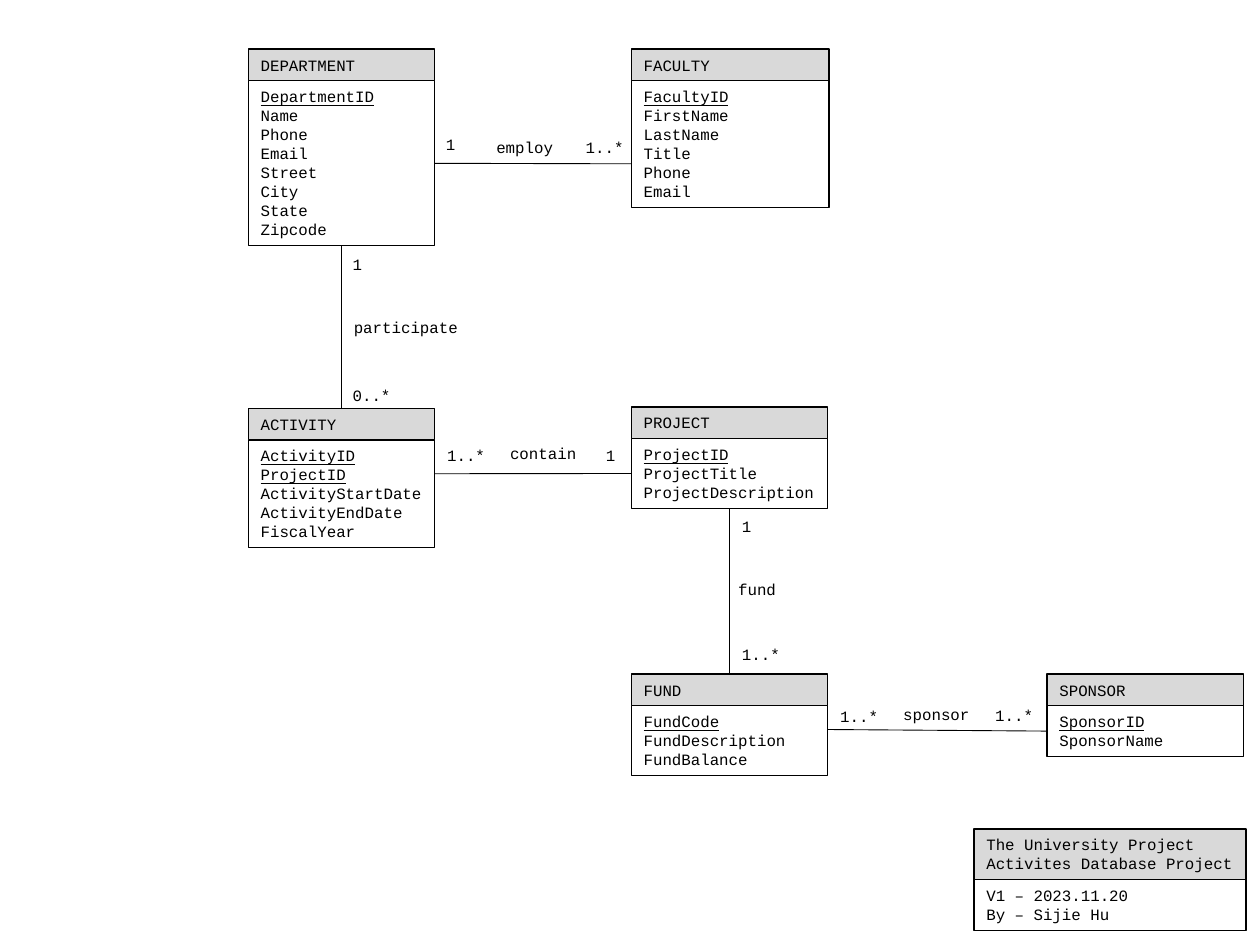
"""Build a one-slide entity-relationship diagram of a university project database."""
import dataclasses

import pptx
import pptx.dml.color
import pptx.enum.shapes
import pptx.enum.text
import pptx.util
from lxml import etree
from pptx.util import Inches


@dataclasses.dataclass(frozen=True)
class Theme:
    ink: pptx.dml.color.RGBColor = pptx.dml.color.RGBColor(0, 0, 0)
    header: pptx.dml.color.RGBColor = pptx.dml.color.RGBColor(0xD9, 0xD9, 0xD9)
    font: str = "Courier New"
    size: float = 9
    leading: float = 1.21
    border: float = 0.75
    link: float = 0.5


theme = Theme()
line_height = theme.size * theme.leading / 72


def write(box, lines, keys=0):
    frame = box.text_frame
    frame.word_wrap = True
    frame.vertical_anchor = pptx.enum.text.MSO_ANCHOR.TOP
    frame.text = "\n".join(lines)
    for index, para in enumerate(frame.paragraphs):
        para.alignment = pptx.enum.text.PP_ALIGN.LEFT
        para.font.name = theme.font
        para.font.size = pptx.util.Pt(theme.size)
        para.font.color.rgb = theme.ink
        para.font.underline = index < keys


def add_panel(group, left, top, width, rows, lines, keys=0):
    box = group.shapes.add_shape(
        pptx.enum.shapes.MSO_SHAPE.RECTANGLE,
        Inches(left), Inches(top), Inches(width), Inches(0.1 + rows * line_height))
    box.shadow.inherit = False
    box.fill.background()
    box.line.color.rgb = theme.ink
    box.line.width = pptx.util.Pt(theme.border)
    write(box, lines, keys)
    return box


deck = pptx.Presentation()
deck.slide_width, deck.slide_height = Inches(10), Inches(7.5)
page = deck.slides.add_slide(deck.slide_layouts[6])

entities = [
    ("DEPARTMENT", 1.97, 0.39, 1.48, 1, 1,
     ["DepartmentID", "Name", "Phone", "Email", "Street", "City", "State", "Zipcode"]),
    ("FACULTY", 5.01, 0.39, 1.57, 1, 1,
     ["FacultyID", "FirstName", "LastName", "Title", "Phone", "Email"]),
    ("ACTIVITY", 1.97, 3.24, 1.48, 1, 2,
     ["ActivityID", "ProjectID", "ActivityStartDate", "ActivityEndDate", "FiscalYear"]),
    ("PROJECT", 5.01, 3.23, 1.56, 1, 1,
     ["ProjectID", "ProjectTitle", "ProjectDescription"]),
    ("FUND", 5.01, 5.35, 1.56, 1, 1,
     ["FundCode", "FundDescription", "FundBalance"]),
    ("SPONSOR", 8.31, 5.35, 1.56, 1, 1, ["SponsorID", "SponsorName"]),
    ("The University Project Activites Database Project", 7.73, 6.58, 2.16, 2, 0,
     ["V1 – 2023.11.20", "By – Sijie Hu"]),
]
headers, bodies = {}, {}
for name, left, top, width, header_rows, keys, fields in entities:
    group = page.shapes.add_group_shape()
    body_top = top + 0.1 + header_rows * line_height
    bodies[name] = add_panel(group, left, body_top, width, len(fields), fields, keys)
    headers[name] = add_panel(group, left, top, width, header_rows, [name])
    headers[name].fill.solid()
    headers[name].fill.fore_color.rgb = theme.header

links = [
    ((3.45, 1.3), (5.01, 1.3), (bodies["DEPARTMENT"], 3), None),
    ((2.71, 1.95), (2.71, 3.24), (bodies["DEPARTMENT"], 2), (headers["ACTIVITY"], 0)),
    ((5.01, 3.76), (3.45, 3.76), (bodies["PROJECT"], 1), None),
    ((5.79, 4.04), (5.79, 5.35), (bodies["PROJECT"], 2), (headers["FUND"], 0)),
    ((8.31, 5.8), (6.57, 5.79), (bodies["SPONSOR"], 1), None),
]
for start, finish, source, target in links:
    link = page.shapes.add_connector(
        pptx.enum.shapes.MSO_CONNECTOR.STRAIGHT, *map(Inches, start + finish))
    link.begin_connect(*source)
    if target:
        link.end_connect(*target)
    link.line.color.rgb = theme.ink
    link.line.width = pptx.util.Pt(theme.link)
    etree.SubElement(link._element.spPr, pptx.oxml.ns.qn("a:effectLst"))

labels = [
    ("1", 3.44, 1.02, 0.46), ("employ", 3.84, 1.04, 0.71), ("1..*", 4.55, 1.04, 0.52),
    ("1", 2.7, 1.97, 0.46), ("participate", 2.71, 2.47, 1.06), ("0..*", 2.7, 3.01, 0.52),
    ("1..*", 3.45, 3.49, 0.52), ("contain", 3.95, 3.47, 0.77), ("1", 4.71, 3.49, 0.46),
    ("1", 5.79, 4.05, 0.46), ("fund", 5.76, 4.55, 1.06), ("1..*", 5.79, 5.07, 0.52),
    ("1..*", 6.57, 5.56, 0.52), ("sponsor", 7.07, 5.54, 0.77), ("1..*", 7.8, 5.55, 0.52),
]
for label, left, top, width in labels:
    box = page.shapes.add_textbox(Inches(left), Inches(top), Inches(width), Inches(0.25))
    write(box, [label])

deck.save("out.pptx")
